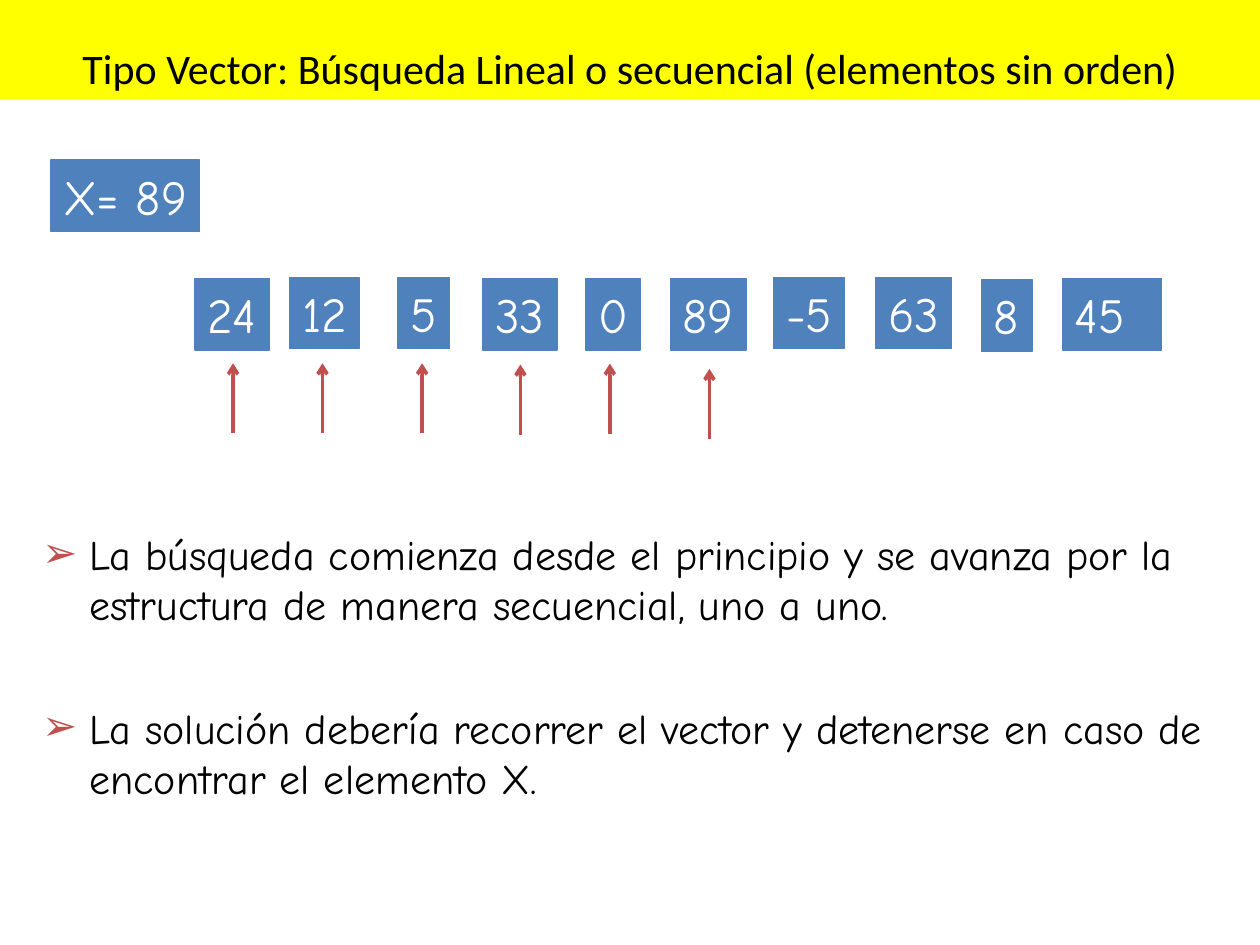
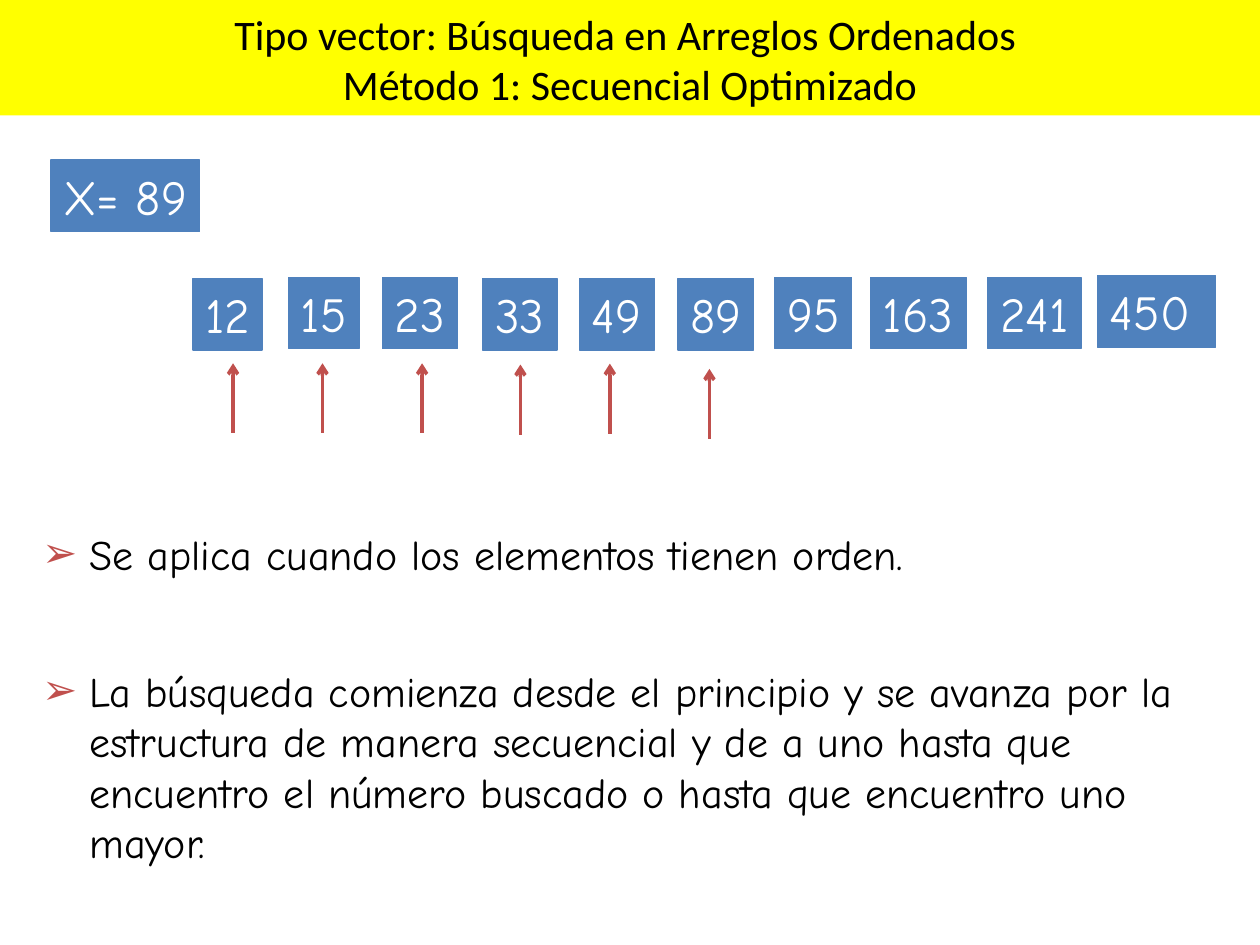
from typing import NamedTuple

from lxml import etree
from pptx import Presentation
from pptx.dml.color import RGBColor
from pptx.enum.shapes import MSO_CONNECTOR, MSO_SHAPE
from pptx.enum.text import MSO_ANCHOR, MSO_AUTO_SIZE, PP_ALIGN
from pptx.oxml.ns import qn
from pptx.util import Pt

RECTANGLE = MSO_SHAPE.RECTANGLE
STRAIGHT = MSO_CONNECTOR.STRAIGHT
LEFT, CENTER = PP_ALIGN.LEFT, PP_ALIGN.CENTER
TOP, BOTTOM = MSO_ANCHOR.TOP, MSO_ANCHOR.BOTTOM
NO_FIT = MSO_AUTO_SIZE.NONE

COLORS = {
    "band": "FFFF00",
    "cell": "4F81BD",
    "accent": "C0504D",
    "cell_text": "FFFFFF",
    "text": "000000",
}
HAND_FONT, TITLE_FONT = "Comic Neue", "Calibri"
PAGE_WIDTH, PAGE_HEIGHT = 720, 540
CELL_HEIGHT = 41
BULLET_LEFT, BULLET_INDENT = 17, 27
ARROW_LENGTH = 40


class Cell(NamedTuple):
    label: str
    left: float
    top: float
    width: float


class Arrow(NamedTuple):
    center: float
    tip: float


class Bullet(NamedTuple):
    text: str
    top: float
    width: float
    height: float


class SearchPage(NamedTuple):
    title_lines: list[str]
    band_height: float
    vector: list[Cell]
    bullets: list[Bullet]


TARGET = Cell("X= 89", 29.2, 91.4, 85)
ARROWS = [
    Arrow(133.2, 207.6), Arrow(184.3, 207.6), Arrow(241.2, 207.6),
    Arrow(297.4, 208.3), Arrow(348.5, 207.8), Arrow(405.4, 210.8),
]
PAGES = [
    SearchPage(
        ["Tipo Vector: Búsqueda Lineal o secuencial (elementos sin orden)"],
        56.7,
        [
            Cell("24", 111.4, 159.1, 42.5), Cell("12", 165.6, 158.4, 39.6),
            Cell("5", 227.5, 158.4, 29.5), Cell("33", 275.8, 159.1, 42.5),
            Cell("0", 334.8, 159.1, 31), Cell("89", 383, 159.1, 43.4),
            Cell("-5", 442.1, 158.4, 40.3), Cell("63", 500.4, 158.4, 43.2),
            Cell("8", 560.9, 159.8, 28.8), Cell("45", 607, 159.1, 56.9),
        ],
        [
            Bullet("La búsqueda comienza desde el principio y se avanza por la "
                   "estructura de manera secuencial, uno a uno.", 298.4, 677.5, 64.8),
            Bullet("La solución debería recorrer el vector y detenerse en caso de "
                   "encontrar el elemento X.", 397.7, 683.3, 64.8),
        ],
    ),
    SearchPage(
        ["Tipo vector: Búsqueda en Arreglos Ordenados ", "Método 1: Secuencial Optimizado"],
        66,
        [
            Cell("12", 110.2, 159.1, 39.6), Cell("15", 164.9, 158.4, 40.3),
            Cell("23", 218.4, 158.4, 43.2), Cell("33", 275.8, 159.1, 42.5),
            Cell("49", 331.2, 159.1, 42.7), Cell("89", 387.4, 159.1, 43.2),
            Cell("95", 442.8, 158.4, 44), Cell("163", 497.5, 158.4, 54.7),
            Cell("241", 564.5, 158.4, 53.3), Cell("450", 627.1, 157.5, 67.7),
        ],
        [
            Bullet("Se aplica cuando los elementos tienen orden.", 298.4, 677.5, 36),
            Bullet("La búsqueda comienza desde el principio y se avanza por la "
                   "estructura de manera secuencial y de a uno hasta que encuentro "
                   "el número buscado o hasta que encuentro uno mayor.",
                   376.6, 683.3, 122.4),
        ],
    ),
]


def rgb(name: str) -> RGBColor:
    return RGBColor.from_string(COLORS[name])


def write(box, lines: list[str], *, size: float = 24, font: str = HAND_FONT,
          color: str = "text", align=LEFT, anchor=TOP, right_inset: float = 7.2) -> None:
    frame = box.text_frame
    frame.word_wrap, frame.auto_size = True, NO_FIT
    frame.vertical_anchor = anchor
    frame.margin_right = Pt(right_inset)
    frame.text = "\n".join(lines)
    for para in frame.paragraphs:
        para.alignment = align
        for span in para.runs:
            span.font.size, span.font.name = Pt(size), font
            span.font.color.rgb = rgb(color)


def draw_title(page, lines: list[str], height: float) -> None:
    title = page.shapes.title
    title.left, title.top = Pt(0), Pt(0)
    title.width, title.height = Pt(PAGE_WIDTH), Pt(height)
    title.fill.solid()
    title.fill.fore_color.rgb = rgb("band")
    write(title, lines, font=TITLE_FONT, align=CENTER, anchor=BOTTOM)


def draw_cell(page, cell: Cell) -> None:
    """Draw a filled box; without a right inset its label stays on one line."""
    box = page.shapes.add_shape(RECTANGLE, Pt(cell.left), Pt(cell.top),
                                Pt(cell.width), Pt(CELL_HEIGHT))
    box.shadow.inherit = False
    box.fill.solid()
    box.fill.fore_color.rgb = box.line.color.rgb = rgb("cell")
    box.line.width = Pt(0.75)
    write(box, [cell.label], size=28, color="cell_text", right_inset=0)


def draw_arrow(page, arrow: Arrow) -> None:
    line = page.shapes.add_connector(STRAIGHT, Pt(arrow.center), Pt(arrow.tip),
                                     Pt(arrow.center), Pt(arrow.tip + ARROW_LENGTH))
    line.line.color.rgb = rgb("accent")
    line.line.width = Pt(2)
    etree.SubElement(line.line._get_or_add_ln(), qn("a:headEnd"), type="arrow")
    etree.SubElement(line._element.spPr, qn("a:effectLst"))


def draw_bullet(page, bullet: Bullet) -> None:
    box = page.shapes.add_textbox(Pt(BULLET_LEFT), Pt(bullet.top),
                                  Pt(bullet.width), Pt(bullet.height))
    write(box, [bullet.text])
    properties = box.text_frame.paragraphs[0]._p.get_or_add_pPr()
    properties.set("marL", str(Pt(BULLET_INDENT)))
    properties.set("indent", str(-Pt(BULLET_INDENT)))
    bullet_color = etree.SubElement(properties, qn("a:buClr"))
    etree.SubElement(bullet_color, qn("a:srgbClr"), val=COLORS["accent"])
    etree.SubElement(properties, qn("a:buFont"), typeface=HAND_FONT)
    etree.SubElement(properties, qn("a:buChar"), char="➢")


def draw_page(deck, content: SearchPage) -> None:
    page = deck.slides.add_slide(deck.slide_layouts.get_by_name("Title Only"))
    draw_title(page, content.title_lines, content.band_height)
    for cell in [*content.vector, TARGET]:
        draw_cell(page, cell)
    for arrow in ARROWS:
        draw_arrow(page, arrow)
    for bullet in content.bullets:
        draw_bullet(page, bullet)


def main() -> None:
    deck = Presentation()
    deck.slide_width, deck.slide_height = Pt(PAGE_WIDTH), Pt(PAGE_HEIGHT)
    for content in PAGES:
        draw_page(deck, content)
    deck.save("out.pptx")


if __name__ == "__main__":
    main()
